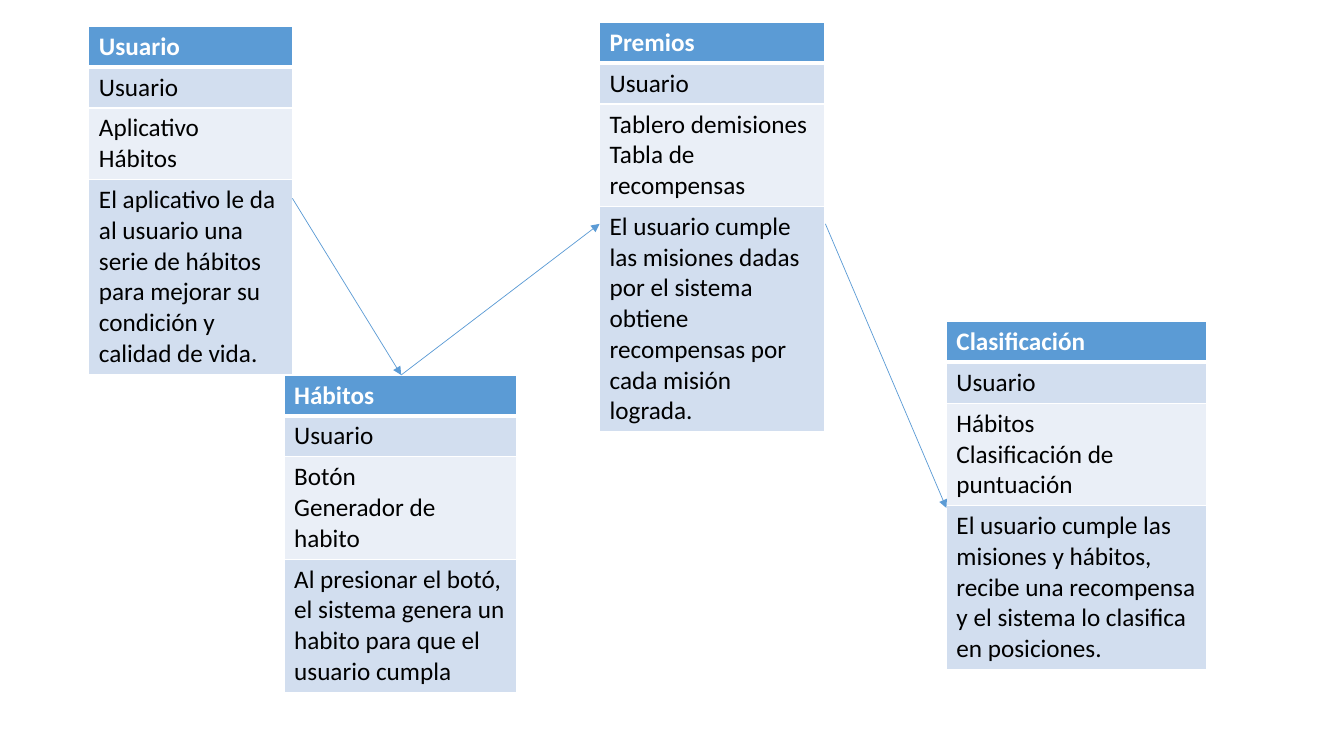
from dataclasses import dataclass

from lxml.etree import SubElement
from pptx import Presentation
from pptx.dml.color import RGBColor
from pptx.enum.shapes import MSO_CONNECTOR
from pptx.oxml import parse_xml
from pptx.oxml.ns import nsdecls, qn
from pptx.slide import Slide
from pptx.table import _Cell
from pptx.util import Cm, Pt

BLUE = RGBColor(0x5B, 0x9B, 0xD5)
PALE = RGBColor(0xD2, 0xDE, 0xEF)
LIGHT = RGBColor(0xEA, 0xEF, 0xF7)
WHITE = RGBColor(0xFF, 0xFF, 0xFF)
BLACK = RGBColor(0x00, 0x00, 0x00)
FILLS = (BLUE, PALE, LIGHT, PALE)
ROW = 1.03


@dataclass
class Card:
    left: float
    top: float
    width: float
    rows: tuple[str, ...]


@dataclass
class Arrow:
    start: tuple[float, float]
    end: tuple[float, float]


CARDS = (
    Card(7.16, 9.45, 5.87, (
        "Hábitos", "Usuario", "Botón\nGenerador de habito",
        "Al presionar el botó, el sistema genera un habito para que el usuario cumpla")),
    Card(15.11, 0.56, 5.68, (
        "Premios", "Usuario", "Tablero demisiones\nTabla de recompensas",
        "El usuario cumple las misiones dadas por el sistema obtiene "
        "recompensas por cada misión lograda.")),
    Card(2.24, 0.66, 5.13, (
        "Usuario", "Usuario", "Aplicativo\nHábitos",
        "El aplicativo le da al usuario una serie de hábitos para mejorar "
        "su condición y calidad de vida.")),
    Card(23.85, 8.1, 6.55, (
        "Clasificación", "Usuario", "Hábitos\nClasificación de puntuación",
        "El usuario cumple las misiones y hábitos, recibe una recompensa "
        "y el sistema lo clasifica en posiciones.")),
)

ARROWS = (
    Arrow((7.37, 5.0), (10.11, 9.45)),
    Arrow((10.11, 9.45), (15.11, 5.64)),
    Arrow((20.8, 5.64), (23.85, 12.8)),
)


def add_edges(cell: _Cell, top: int, bottom: int) -> None:
    props = cell._tc.get_or_add_tcPr()
    sides = {"L": 1, "R": 1, "T": top, "B": bottom}
    for spot, (side, width) in enumerate(sides.items()):
        props.insert(spot, parse_xml(
            f'<a:ln{side} {nsdecls("a")} w="{Pt(width)}"><a:solidFill>'
            f'<a:srgbClr val="{WHITE}"/></a:solidFill></a:ln{side}>'))


def add_card(slide: Slide, card: Card) -> None:
    table = slide.shapes.add_table(
        len(card.rows), 1, Cm(card.left), Cm(card.top),
        Cm(card.width), Cm(ROW * len(card.rows))).table
    for row, (text, fill) in enumerate(zip(card.rows, FILLS)):
        cell = table.cell(row, 0)
        cell.text = text
        cell.fill.solid()
        cell.fill.fore_color.rgb = fill
        add_edges(cell, 3 if row == 1 else 1, 3 if row == 0 else 1)
        for para in cell.text_frame.paragraphs:
            para.font.name = "Calibri"
            para.font.size = Pt(18)
            para.font.bold = row == 0
            para.font.color.rgb = WHITE if row == 0 else BLACK


def add_arrow(slide: Slide, arrow: Arrow) -> None:
    link = slide.shapes.add_connector(
        MSO_CONNECTOR.STRAIGHT, *map(Cm, arrow.start + arrow.end))
    link.line.color.rgb = BLUE
    link.line.width = Pt(0.5)
    SubElement(link.line._get_or_add_ln(), qn("a:tailEnd"), type="triangle")
    SubElement(link._element.spPr, qn("a:effectLst"))


def main() -> None:
    deck = Presentation()
    deck.slide_width = Cm(33.87)
    deck.slide_height = Cm(19.05)
    slide = deck.slides.add_slide(deck.slide_layouts[6])
    for card in CARDS:
        add_card(slide, card)
    for arrow in ARROWS:
        add_arrow(slide, arrow)
    deck.save("out.pptx")


if __name__ == "__main__":
    main()
